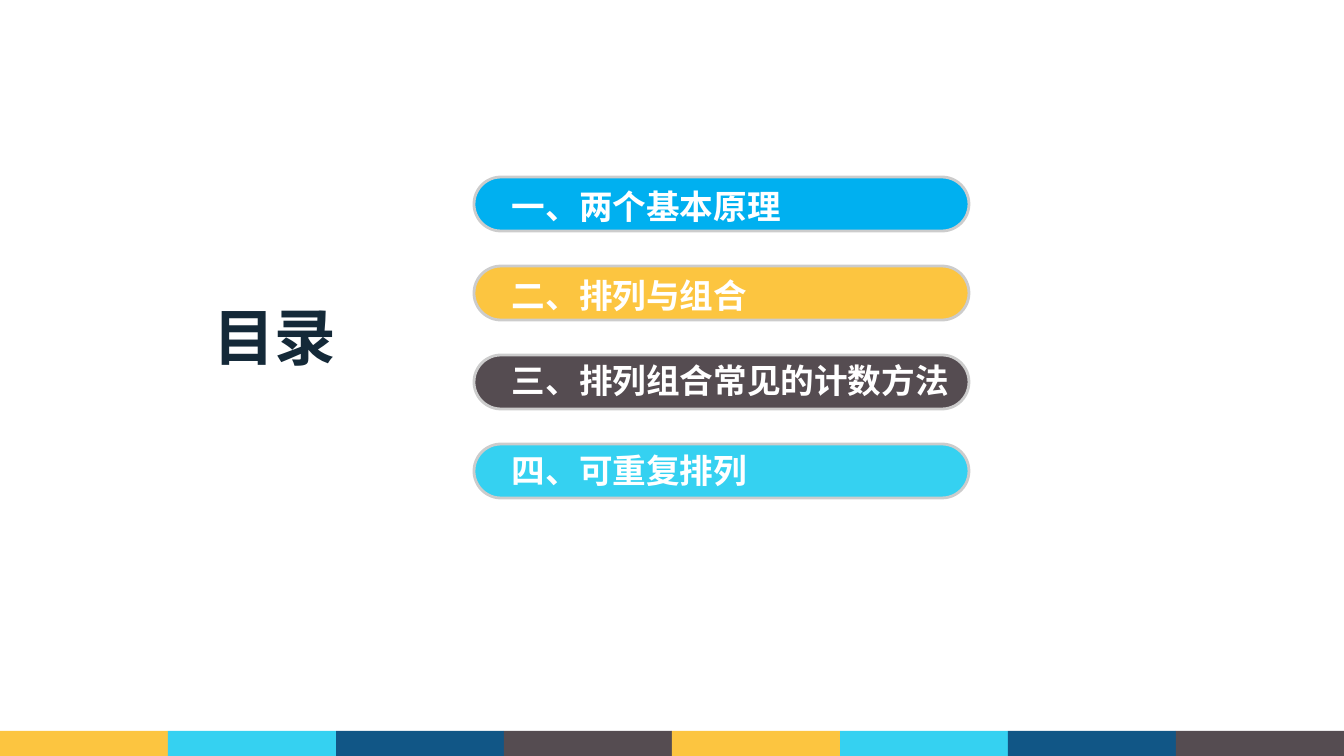
"""Build a contents slide with four section pills and a coloured footer strip."""
from dataclasses import dataclass

import pptx
import pptx.dml.color
import pptx.enum.shapes
import pptx.enum.text
import pptx.oxml.ns
import pptx.shapes.autoshape
import pptx.slide
import pptx.util
from lxml import etree

W, H = 1344, 756
EMU_PER_PX = 914400 / 100.8
FONT = "Noto Sans CJK SC"
COLORS = {
    "blue": "00B0F0",
    "yellow": "FCC540",
    "brown": "554C51",
    "cyan": "35D1F1",
    "navy": "115686",
    "ink": "142938",
    "white": "FFFFFF",
    "outline": "CCCCCC",
}
STRIP = ["yellow", "cyan", "navy", "brown"] * 2
PILL_LEFT, PILL_TOP, PILL_STEP = 474, 177, 89
PILL_W, PILL_H = 495, 54
STRIP_H = 25


@dataclass
class Section:
    label: str
    color: str
    text_dy: int


SECTIONS = [
    Section("一、两个基本原理", "blue", 4),
    Section("二、排列与组合", "yellow", 4),
    Section("三、排列组合常见的计数方法", "brown", 0),
    Section("四、可重复排列", "cyan", 1),
]


def px(n: int) -> pptx.util.Emu:
    return pptx.util.Emu(round(n * EMU_PER_PX))


def rgb(name: str) -> pptx.dml.color.RGBColor:
    return pptx.dml.color.RGBColor.from_string(COLORS[name])


def add_block(shapes, kind: pptx.enum.shapes.MSO_SHAPE, x: int, y: int,
              w: int, h: int, color: str) -> pptx.shapes.autoshape.Shape:
    sp = shapes.add_shape(kind, px(x), px(y), px(w), px(h))
    sp.shadow.inherit = False
    sp.fill.solid()
    sp.fill.fore_color.rgb = rgb(color)
    sp.line.fill.background()
    return sp


def add_text(s: pptx.slide.Slide, text: str, x: int, y: int, w: int, h: int,
             size: int, color: str, align: pptx.enum.text.PP_ALIGN) -> None:
    tf = s.shapes.add_textbox(px(x), px(y), px(w), px(h)).text_frame
    tf.word_wrap = True
    tf.auto_size = pptx.enum.text.MSO_AUTO_SIZE.SHAPE_TO_FIT_TEXT
    p = tf.paragraphs[0]
    p.text = text
    p.alignment = align
    r = p.runs[0]
    r.font.size = pptx.util.Pt(size)
    r.font.bold = True
    r.font.color.rgb = rgb(color)
    r.font.name = FONT
    ea = etree.SubElement(r.font._element, pptx.oxml.ns.qn("a:ea"))
    ea.set("typeface", FONT)


def add_pill(s: pptx.slide.Slide, y: int, color: str) -> None:
    sp = add_block(s.shapes, pptx.enum.shapes.MSO_SHAPE.ROUNDED_RECTANGLE,
                   PILL_LEFT, y, PILL_W, PILL_H, color)
    sp.adjustments[0] = 0.5
    sp.line.color.rgb = rgb("outline")
    sp.line.width = pptx.util.Pt(2)


def add_strip(s: pptx.slide.Slide) -> None:
    group = s.shapes.add_group_shape()
    w = W // len(STRIP)
    for i, color in enumerate(STRIP):
        add_block(group.shapes, pptx.enum.shapes.MSO_SHAPE.RECTANGLE,
                  i * w, H - STRIP_H, w, STRIP_H, color)


def main() -> None:
    prs = pptx.Presentation()
    prs.slide_width, prs.slide_height = px(W), px(H)
    s = prs.slides.add_slide(prs.slide_layouts[6])
    align = pptx.enum.text.PP_ALIGN
    for i, section in enumerate(SECTIONS):
        y = PILL_TOP + i * PILL_STEP
        add_pill(s, y, section.color)
        add_text(s, section.label, 502, y + section.text_dy, 458, 50,
                 24, "white", align.LEFT)
    add_text(s, "目录", 201, 294, 148, 85, 44, "ink", align.CENTER)
    add_strip(s)
    prs.save("out.pptx")


if __name__ == "__main__":
    main()
